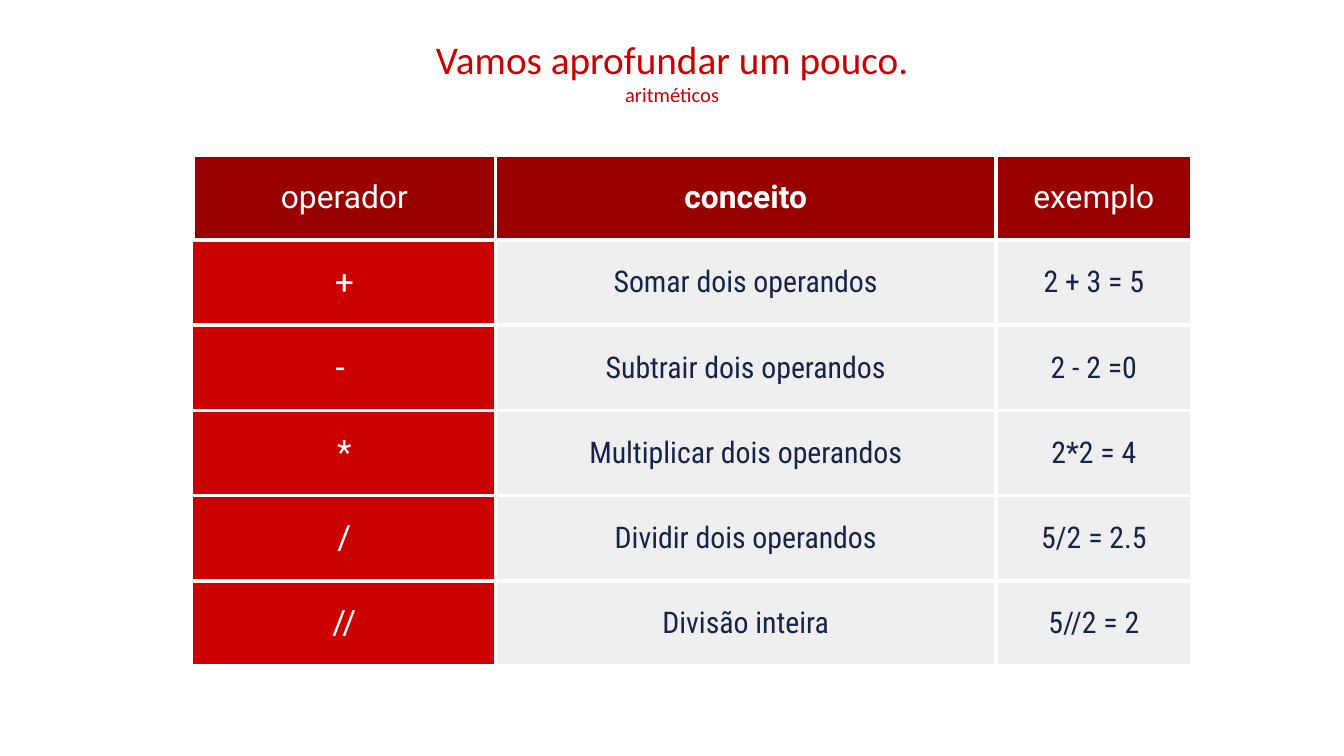
from dataclasses import dataclass

from lxml import etree
from pptx import Presentation
from pptx import util as u
from pptx.dml.color import RGBColor
from pptx.enum import text
from pptx.oxml import ns


@dataclass(frozen=True)
class Theme:
    red: str = "CC0000"
    dark_red: str = "990000"
    grey: str = "EFEFEF"
    navy: str = "182347"
    white: str = "FFFFFF"
    title_font: str = "Calibri"
    label_font: str = "Roboto"
    body_font: str = "Roboto Condensed"
    title_size: int = 21
    subtitle_size: int = 11
    header_size: int = 17
    operator_size: int = 18
    body_size: int = 16
    inset: float = 7.2
    border: float = 2.25


class Deck:
    def __init__(self, theme, width, height):
        self.theme = theme
        self.file = Presentation()
        self.file.slide_width, self.file.slide_height = u.Pt(width), u.Pt(height)
        self.slide = self.file.slides.add_slide(self.file.slide_layouts[5])

    def centred_line(self, paragraph, words, color, **font):
        paragraph.text = words
        paragraph.alignment = text.PP_ALIGN.CENTER
        for name, value in font.items():
            setattr(paragraph.runs[0].font, name, value)
        paragraph.runs[0].font.color.rgb = RGBColor.from_string(color)

    def inset(self, holder):
        for side in ("left", "top", "right", "bottom"):
            setattr(holder, f"margin_{side}", u.Pt(self.theme.inset))

    def title(self, lines, left, top, width, height):
        heading = self.slide.shapes.title
        place = {"left": left, "top": top, "width": width, "height": height}
        for name, value in place.items():
            setattr(heading, name, u.Pt(value))
        frame = heading.text_frame
        layout = {"word_wrap": True, "auto_size": text.MSO_AUTO_SIZE.NONE,
                  "vertical_anchor": text.MSO_ANCHOR.TOP}
        for name, value in layout.items():
            setattr(frame, name, value)
        self.inset(frame)
        for index, (words, size) in enumerate(lines):
            line = frame.add_paragraph() if index else frame.paragraphs[0]
            self.centred_line(line, words, self.theme.red, size=u.Pt(size),
                              name=self.theme.title_font, bold=False)

    def borders(self, cell, open_left):
        properties = cell._tc.get_or_add_tcPr()
        for index, side in enumerate("LRTB"):
            line = etree.Element(ns.qn(f"a:ln{side}"), w=str(u.Pt(self.theme.border)))
            if side == "L" and open_left:
                etree.SubElement(line, ns.qn("a:noFill"))
            else:
                fill = etree.SubElement(line, ns.qn("a:solidFill"))
                etree.SubElement(fill, ns.qn("a:srgbClr"), val=self.theme.white)
            properties.insert(index, line)

    def cell(self, cell, words, fill, color, open_left, **font):
        cell.fill.solid()
        cell.fill.fore_color.rgb = RGBColor.from_string(fill)
        cell.vertical_anchor = text.MSO_ANCHOR.MIDDLE
        self.inset(cell)
        self.centred_line(cell.text_frame.paragraphs[0], words, color, **font)
        self.borders(cell, open_left)

    def table(self, rows, left, top, widths, row_height):
        t = self.theme
        header = {"fill": t.dark_red, "color": t.white, "name": t.label_font,
                  "size": u.Pt(t.header_size)}
        operator = {**header, "fill": t.red, "size": u.Pt(t.operator_size)}
        body = {"fill": t.grey, "color": t.navy, "name": t.body_font,
                "size": u.Pt(t.body_size)}
        grid = self.slide.shapes.add_table(
            len(rows), len(widths), u.Pt(left), u.Pt(top),
            u.Pt(sum(widths)), u.Pt(row_height * len(rows))).table
        grid.first_row = grid.horz_banding = False
        for column, width in zip(grid.columns, widths):
            column.width = u.Pt(width)
        for r, row in enumerate(rows):
            for c, words in enumerate(row):
                style = header if r == 0 else operator if c == 0 else body
                self.cell(grid.cell(r, c), words, open_left=r > 0 and c == 0,
                          bold=(r, c) == (0, 1), **style)


OPERATORS = [
    ("operador", "conceito", "exemplo"),
    ("+", "Somar dois operandos", "2 + 3 = 5"),
    ("- ", "Subtrair dois operandos", "2 - 2 =0"),
    ("*", "Multiplicar dois operandos", "2*2 = 4"),
    ("/", "Dividir dois operandos", "5/2 = 2.5"),
    ("//", "Divisão inteira", "5//2 = 2"),
]


def main():
    theme = Theme()
    deck = Deck(theme, 720, 405)

    # Title with its subtitle line
    deck.title([("Vamos aprofundar um pouco.", theme.title_size),
                ("aritméticos", theme.subtitle_size)], 56.6, 11.5, 607, 45.4)

    # Arithmetic operators
    deck.table(OPERATORS, 103.5, 83, (162, 268, 105), 45.65)

    deck.file.save("out.pptx")


if __name__ == "__main__":
    main()
